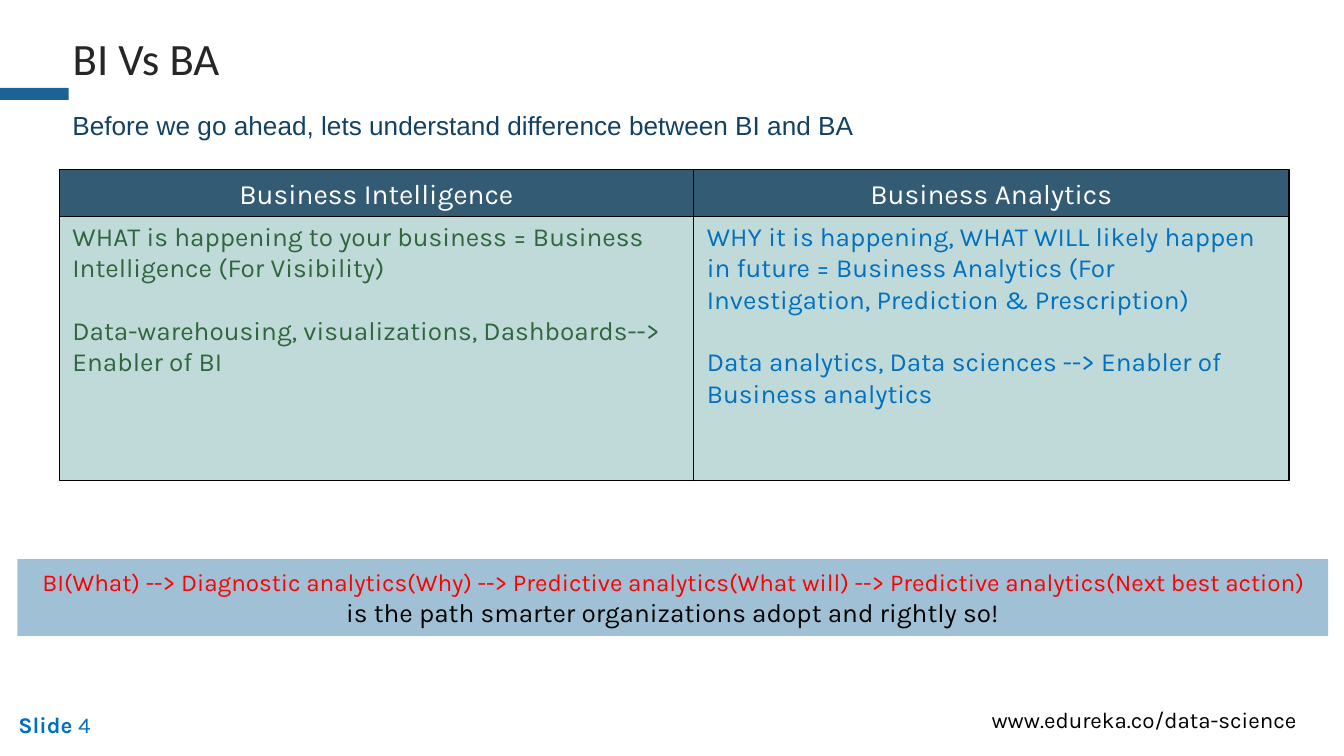
from pptx import Presentation
from pptx.dml.color import RGBColor
from pptx.enum.shapes import MSO_SHAPE
from pptx.enum.text import MSO_ANCHOR, MSO_AUTO_SIZE, PP_ALIGN
from pptx.util import Cm, Pt


def rect(x, y, w, h, fill, line=None):
    sp = s.shapes.add_shape(MSO_SHAPE.RECTANGLE, Cm(x), Cm(y), Cm(w), Cm(h))
    sp.shadow.inherit = False
    sp.fill.solid()
    sp.fill.fore_color.rgb = RGBColor.from_string(fill)
    if line:
        sp.line.color.rgb = RGBColor.from_string(line)
        sp.line.width = Pt(0.75)
    else:
        sp.line.fill.background()
    return sp


def write(sp, paras, align=PP_ALIGN.LEFT, anchor=MSO_ANCHOR.MIDDLE, gap=0):
    tf = sp.text_frame
    tf.word_wrap = True
    tf.auto_size = MSO_AUTO_SIZE.NONE
    tf.vertical_anchor = anchor
    for i, runs in enumerate(paras):
        p = tf.add_paragraph() if i else tf.paragraphs[0]
        p.alignment = align
        p.space_before = Pt(gap if i else 0)
        for text, size, font, color, bold in runs:
            r = p.add_run()
            r.text = text
            r.font.size = Pt(size)
            r.font.name = font
            r.font.bold = bold
            r.font.color.rgb = RGBColor.from_string(color)


prs = Presentation()
prs.slide_width, prs.slide_height = Cm(25.4), Cm(14.29)
s = prs.slides.add_slide(prs.slide_layouts[5])

rect(0, 1.66, 1.3, 0.23, "1C6294")

title = s.shapes.title
title.left, title.top, title.width, title.height = Cm(1.12), Cm(0.41), Cm(12.93), Cm(1.37)
write(title, [[("BI Vs BA", 24, "Calibri", "262626", False)]])

labels = [
    (1.12, 1.93, 20.37, 0.86, [("Before we go ahead, lets understand difference between BI and BA",
                                14, "Arial", "134163", False)]),
    (0.1, 13.31, 4.01, 0.76, [("Slide ", 12, "Karla", "0070C0", True),
                              ("4", 12, "Karla", "0070C0", False)]),
    (18.49, 13.23, 6.32, 0.76, [("www.edureka.co/data-science", 12, "Karla", "000000", False)]),
]
for x, y, w, h, runs in labels:
    write(s.shapes.add_textbox(Cm(x), Cm(y), Cm(w), Cm(h)), [runs])

columns = [
    (11.99, "Business Intelligence", "2F663E",
     ["WHAT is happening to your business = Business Intelligence (For Visibility)",
      "Data-warehousing, visualizations, Dashboards--> Enabler of BI"]),
    (11.25, "Business Analytics", "0070C0",
     ["WHY it is happening, WHAT WILL likely happen in future = Business Analytics "
      "(For Investigation, Prediction & Prescription)",
      "Data analytics, Data sciences --> Enabler of Business analytics"]),
]
x = 1.12
for w, heading, color, points in columns:
    body = rect(x, 4.04, w, 5.05, "C0DAD9", "000000")
    write(body, [[(point, 14, "Karla", color, False)] for point in points],
          anchor=MSO_ANCHOR.TOP, gap=16.8)
    head = rect(x, 3.2, w, 0.89, "335B74", "000000")
    write(head, [[(heading, 15, "Karla", "FFFFFF", False)]], PP_ALIGN.CENTER)
    x += w

banner = rect(0.33, 10.57, 24.77, 1.45, "A0C1D5")
write(banner, [
    [("BI(What) --> Diagnostic analytics(Why) --> Predictive analytics(What will) --> "
      "Predictive analytics(Next best action)", 13, "Karla", "FF0000", False)],
    [("is the path smarter organizations adopt and rightly so!", 14, "Karla", "000000", False)],
], PP_ALIGN.CENTER)

prs.save("out.pptx")
